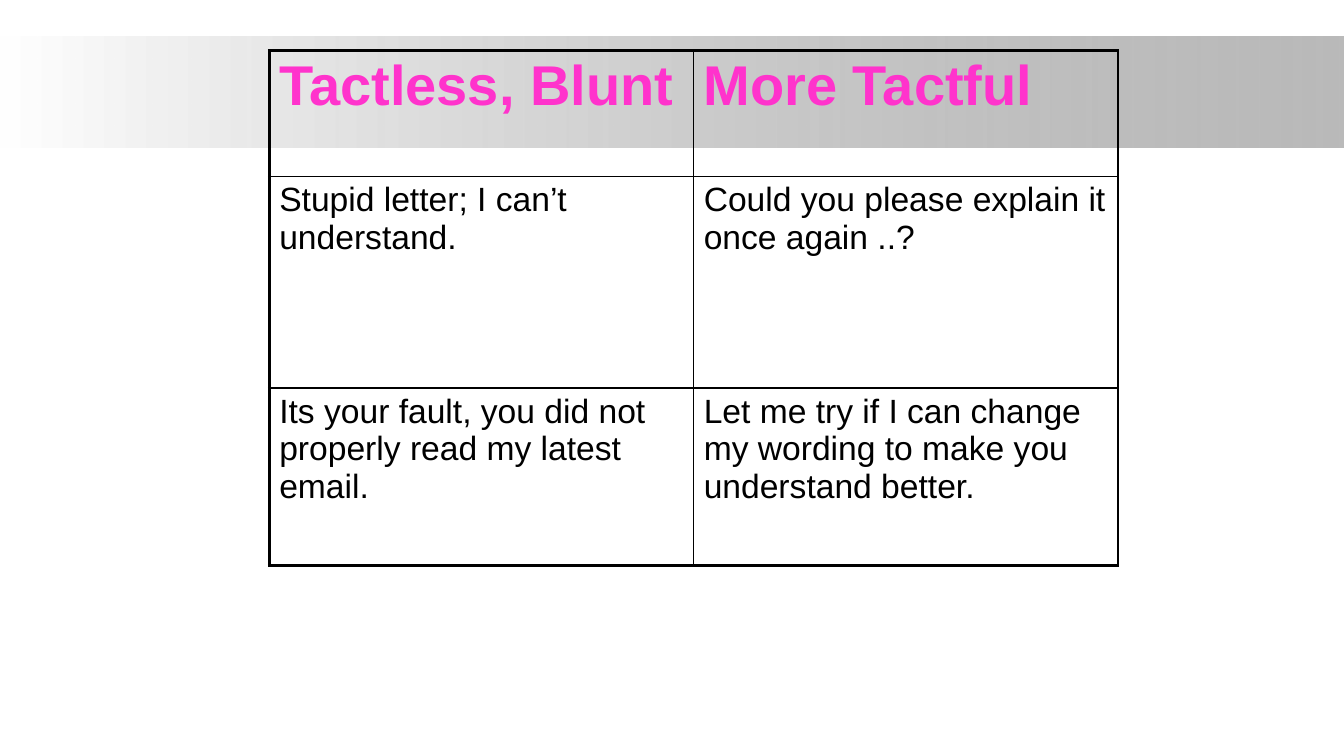
import pptx
import pptx.util
import pptx.dml.color
import pptx.enum.shapes
import pptx.oxml.ns
import lxml.etree

Inches = pptx.util.Inches
Pt = pptx.util.Pt
qn = pptx.oxml.ns.qn


class Deck:
    colors = {"white": "FFFFFF", "gray": "808080", "pink": "FF33CC", "black": "000000"}
    font = "Arial"
    outer, inner = 2.25, 1

    def __init__(self, prs):
        self.s = prs.slides.add_slide(prs.slide_layouts[6])

    def rgb(self, name):
        return pptx.dml.color.RGBColor.from_string(self.colors[name])

    def gradient_band(self, x, y, w, h, start, end, opacity):
        sp = self.s.shapes.add_shape(
            pptx.enum.shapes.MSO_SHAPE.RECTANGLE,
            Inches(x), Inches(y), Inches(w), Inches(h))
        sp.shadow.inherit = False
        sp.line.fill.background()
        sp.fill.gradient()
        sp.fill.gradient_angle = 0
        for stop, name, position in zip(sp.fill.gradient_stops, (start, end), (0, 1)):
            stop.color.rgb = self.rgb(name)
            stop.position = position
        end_color = list(sp._element.spPr.iter(qn("a:srgbClr")))[-1]
        lxml.etree.SubElement(end_color, qn("a:alpha"), val=str(opacity * 1000))

    def border(self, cell, side, width):
        tcPr = cell._tc.get_or_add_tcPr()
        ln = lxml.etree.SubElement(tcPr, qn("a:ln" + side), w=str(Pt(width)))
        fill = lxml.etree.SubElement(ln, qn("a:solidFill"))
        lxml.etree.SubElement(fill, qn("a:srgbClr"), val=self.colors["black"])

    def cell(self, cell, text, header):
        cell.text_frame.text = text
        font = cell.text_frame.paragraphs[0].runs[0].font
        font.name = self.font
        font.size = Pt(40 if header else 24)
        font.bold = header
        font.color.rgb = self.rgb("pink" if header else "black")

    def table(self, x, y, col_widths, row_heights, rows):
        n_rows, n_cols = len(row_heights), len(col_widths)
        table = self.s.shapes.add_table(
            n_rows, n_cols, Inches(x), Inches(y),
            Inches(sum(col_widths)), Inches(sum(row_heights))).table
        table.first_row = table.horz_banding = False
        for col, width in zip(table.columns, col_widths):
            col.width = Inches(width)
        for row, height in zip(table.rows, row_heights):
            row.height = Inches(height)
        for i, texts in enumerate(rows):
            for j, text in enumerate(texts):
                cell = table.cell(i, j)
                self.cell(cell, text, header=i == 0)
                edges = {"L": j == 0, "R": j == n_cols - 1,
                         "T": i == 0, "B": i == n_rows - 1}
                for side, is_outer in edges.items():
                    self.border(cell, side, self.outer if is_outer else self.inner)
                cell.fill.background()


prs = pptx.Presentation()
prs.slide_width, prs.slide_height = Inches(13.33), Inches(7.5)
deck = Deck(prs)
deck.gradient_band(0, 0.36, 13.33, 1.1, "white", "gray", 54)
deck.table(2.67, 0.5, [4.21, 4.21], [1.25, 2.1, 1.76], [
    ("Tactless, Blunt", "More Tactful"),
    ("Stupid letter; I can’t understand.",
     "Could you please explain it once again ..?"),
    ("Its your fault, you did not properly read my latest email.",
     "Let me try if I can change my wording to make you understand better."),
])
prs.save("out.pptx")
